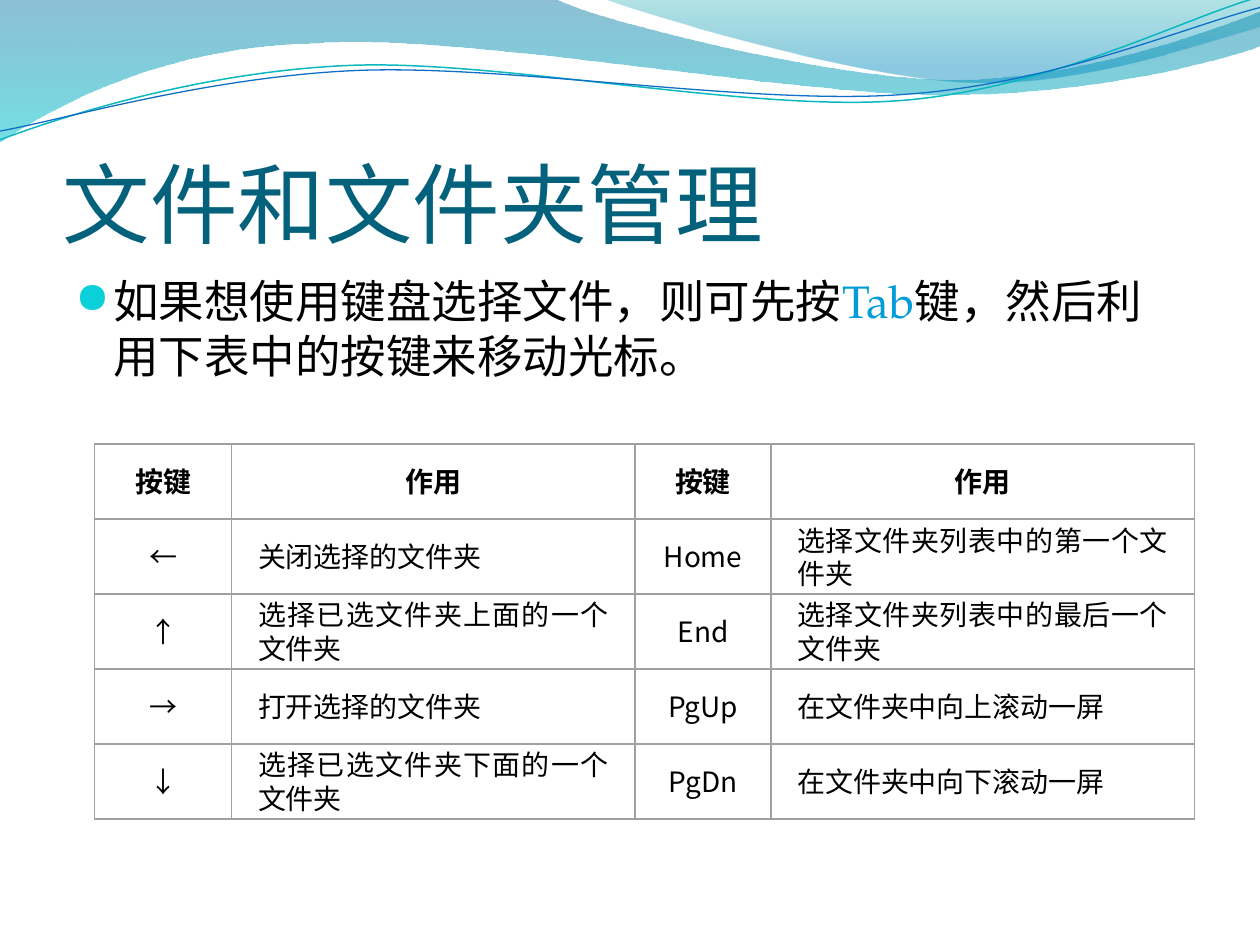
from dataclasses import dataclass
from itertools import accumulate
from typing import Optional

import lxml.etree
import pptx
import pptx.dml.color
import pptx.enum.shapes
import pptx.enum.text
import pptx.oxml.ns
import pptx.util

RGBColor = pptx.dml.color.RGBColor
Align = pptx.enum.text.PP_ALIGN
Anchor = pptx.enum.text.MSO_ANCHOR
Inches = pptx.util.Inches
qn = pptx.oxml.ns.qn

BLACK = RGBColor(0x00, 0x00, 0x00)
TITLE_BLUE = RGBColor(0x04, 0x61, 0x7B)
KEY_BLUE = RGBColor(0x00, 0x9D, 0xD9)
BULLET_CYAN = RGBColor(0x0B, 0xD0, 0xD9)
GRID_GRAY = RGBColor(0xA0, 0xA0, 0xA0)
WAVE_TEAL = RGBColor(0x0A, 0xB8, 0xBF)
WAVE_BLUE = RGBColor(0x0F, 0x6F, 0xC6)
DEEP_BLUE = RGBColor(0x00, 0x74, 0xA1)
AQUA = RGBColor(0x00, 0xC6, 0xCF)
SEA_GREEN = RGBColor(0x00, 0xA1, 0xA9)
SKY_BLUE = RGBColor(0x00, 0x8B, 0xBF)

CJK_FONT = "Noto Sans CJK SC"
SLIDE_WIDTH, SLIDE_HEIGHT = 10, 7.5
MARGIN = 0.05 * SLIDE_WIDTH
GRID_LEFT, GRID_TOP = 0.75, 3.525
COLUMN_WIDTHS = (1.09, 3.2, 1.08, 3.36)
ROW_HEIGHT = 0.595
CELL_INSET = 0.11


@dataclass(frozen=True)
class Stop:
    position: float
    color: RGBColor
    opacity: int


@dataclass(frozen=True)
class Wave:
    """Points are (x, y) for a straight step and (x1, y1, x2, y2, x, y) for a curve."""
    points: tuple
    stops: tuple = ()
    line_color: Optional[RGBColor] = None
    line_width: float = 0


@dataclass(frozen=True)
class Area:
    left: float
    top: float
    width: float
    height: float

    def lengths(self) -> tuple:
        return tuple(map(Inches, (self.left, self.top, self.width, self.height)))


WAVES = (
    Wave(((0, 0), (4.4, -0.01),
          (4.76, 0.17, 6.64, 0.63, 7.58, 0.63), (8.53, 0.63, 9.58, 0.26, 10, 0.09),
          (10.01, 0.36),
          (9.83, 0.44, 8.7, 0.76, 7.46, 0.75), (6.22, 0.75, 3.82, 0.28, 2.57, 0.34),
          (1.29, 0.36, 0.46, 0.83, -0.01, 1.13)),
         stops=(Stop(0, DEEP_BLUE, 45), Stop(1, AQUA, 55))),
    Wave(((4.79, -0.01),
          (5.09, 0.11, 6.82, 0.62, 7.69, 0.65), (8.56, 0.69, 9.61, 0.32, 10, 0.21),
          (10, 0)),
         stops=(Stop(0, SEA_GREEN, 30), Stop(0.8, SKY_BLUE, 45))),
    Wave(((0, 1.11),
          (0.48, 0.93, 1.58, 0.57, 2.77, 0.52), (3.95, 0.47, 5.93, 0.89, 7.13, 0.8),
          (8.33, 0.71, 9.38, 0.15, 9.98, -0.02)),
         line_color=WAVE_TEAL, line_width=0.85),
    Wave(((0, 1.04),
          (0.47, 0.96, 1.64, 0.61, 2.83, 0.56), (4.03, 0.51, 5.97, 0.84, 7.17, 0.75),
          (8.36, 0.67, 9.41, 0.21, 10, 0.06)),
         line_color=WAVE_BLUE, line_width=0.75),
)

KEY_ROWS = (
    ("按键", "作用", "按键", "作用"),
    ("←", "关闭选择的文件夹", "Home", "选择文件夹列表中的第一个文件夹"),
    ("↑", "选择已选文件夹上面的一个文件夹", "End", "选择文件夹列表中的最后一个文件夹"),
    ("→", "打开选择的文件夹", "PgUp", "在文件夹中向上滚动一屏"),
    ("↓", "选择已选文件夹下面的一个文件夹", "PgDn", "在文件夹中向下滚动一屏"),
)


def build_wave(page, points: tuple, closed: bool):
    """Build a freeform through the end points, then bend its curved steps."""
    ends = [(Inches(point[-2]), Inches(point[-1])) for point in points]
    builder = page.shapes.build_freeform(*ends[0])
    builder.add_line_segments(ends[1:], close=closed)
    shape = builder.convert_to_shape()
    steps = list(shape._element.iter(qn("a:lnTo")))
    for step, point in zip(steps, points[1:]):
        if len(point) == 6:
            curve = step.makeelement(qn("a:cubicBezTo"), {})
            for x, y in zip(point[::2], point[1::2]):
                lxml.etree.SubElement(curve, qn("a:pt"), x=str(Inches(x) - shape.left),
                                      y=str(Inches(y) - shape.top))
            step.getparent().replace(step, curve)
    return shape


def draw_wave(page, wave: Wave) -> None:
    shape = build_wave(page, wave.points, closed=bool(wave.stops))
    shape.shadow.inherit = False
    if not wave.stops:
        shape.fill.background()
        shape.line.color.rgb = wave.line_color
        shape.line.width = pptx.util.Pt(wave.line_width)
        return
    shape.line.fill.background()
    shape.fill.gradient()
    shape.fill.gradient_angle = 270
    for gradient_stop, stop in zip(shape.fill.gradient_stops, wave.stops):
        gradient_stop.position = stop.position
        gradient_stop.color.rgb = stop.color
    for color, stop in zip(shape._element.spPr.iter(qn("a:srgbClr")), wave.stops):
        lxml.etree.SubElement(color, qn("a:alpha"), val=str(stop.opacity * 1000))


def add_text_frame(page, area: Area):
    frame = page.shapes.add_textbox(*area.lengths()).text_frame
    frame.word_wrap = True
    return frame


def add_span(para, text: str, name: str, size: float, color: RGBColor,
             bold: bool = False) -> None:
    """Add a run with one font for Latin and East Asian letters alike."""
    span = para.add_run()
    span.text = text
    font = span.font
    font.size = pptx.util.Pt(size)
    font.bold = bold
    font.color.rgb = color
    font.name = name
    latin = font._element.find(qn("a:latin"))
    latin.addnext(latin.makeelement(qn("a:ea"), {"typeface": name}))


def add_title(page) -> None:
    frame = add_text_frame(page, Area(MARGIN, 0.77, SLIDE_WIDTH - 2 * MARGIN, 1.25))
    frame.vertical_anchor = Anchor.BOTTOM
    frame.margin_left = frame.margin_right = frame.margin_bottom = 0
    add_span(frame.paragraphs[0], "文件和文件夹管理", "Calibri", 50, TITLE_BLUE)


def add_body(page) -> None:
    frame = add_text_frame(page, Area(MARGIN, 2.12, SLIDE_WIDTH - 2 * MARGIN, 4.8))
    para = frame.paragraphs[0]
    properties = para._p.get_or_add_pPr()
    properties.set("marL", str(Inches(0.3)))
    properties.set("indent", str(-Inches(0.3)))
    bullet_color = lxml.etree.SubElement(properties, qn("a:buClr"))
    lxml.etree.SubElement(bullet_color, qn("a:srgbClr"), val=str(BULLET_CYAN))
    lxml.etree.SubElement(properties, qn("a:buSzPct"), val="95000")
    lxml.etree.SubElement(properties, qn("a:buFont"), typeface="OpenSymbol")
    lxml.etree.SubElement(properties, qn("a:buChar"), char="●")
    add_span(para, "如果想使用键盘选择文件，则可先按", CJK_FONT, 26, BLACK)
    add_span(para, "Tab", "TeX Gyre Pagella", 26, KEY_BLUE)
    add_span(para, "键，然后利用下表中的按键来移动光标。", CJK_FONT, 26, BLACK)


def add_frame(page, area: Area, line_width: float) -> None:
    frame = page.shapes.add_shape(pptx.enum.shapes.MSO_SHAPE.RECTANGLE, *area.lengths())
    frame.shadow.inherit = False
    frame.fill.background()
    frame.line.color.rgb = GRID_GRAY
    frame.line.width = pptx.util.Pt(line_width)


def add_cell(page, area: Area, text: str, alignment, bold: bool) -> None:
    label = add_text_frame(page, Area(area.left + CELL_INSET, area.top,
                                      area.width - 2 * CELL_INSET, area.height))
    label.vertical_anchor = Anchor.MIDDLE
    para = label.paragraphs[0]
    para.alignment = alignment
    add_span(para, text, CJK_FONT, 16, BLACK, bold)
    add_frame(page, area, 0)


def add_key_grid(page) -> None:
    lefts = list(accumulate(COLUMN_WIDTHS, initial=GRID_LEFT))
    for row, texts in enumerate(KEY_ROWS):
        top = GRID_TOP + row * ROW_HEIGHT
        for column, text in enumerate(texts):
            is_effect = row > 0 and column % 2 == 1
            add_cell(page, Area(lefts[column], top, COLUMN_WIDTHS[column], ROW_HEIGHT),
                     text, Align.JUSTIFY if is_effect else Align.CENTER, bold=row == 0)
    add_frame(page, Area(GRID_LEFT, GRID_TOP, sum(COLUMN_WIDTHS),
                         ROW_HEIGHT * len(KEY_ROWS)), 0.75)


def main() -> None:
    deck = pptx.Presentation()
    deck.slide_width, deck.slide_height = Inches(SLIDE_WIDTH), Inches(SLIDE_HEIGHT)
    page = deck.slides.add_slide(deck.slide_layouts[6])
    for wave in WAVES:
        draw_wave(page, wave)
    add_title(page)
    add_body(page)
    add_key_grid(page)
    deck.save("out.pptx")


if __name__ == "__main__":
    main()
